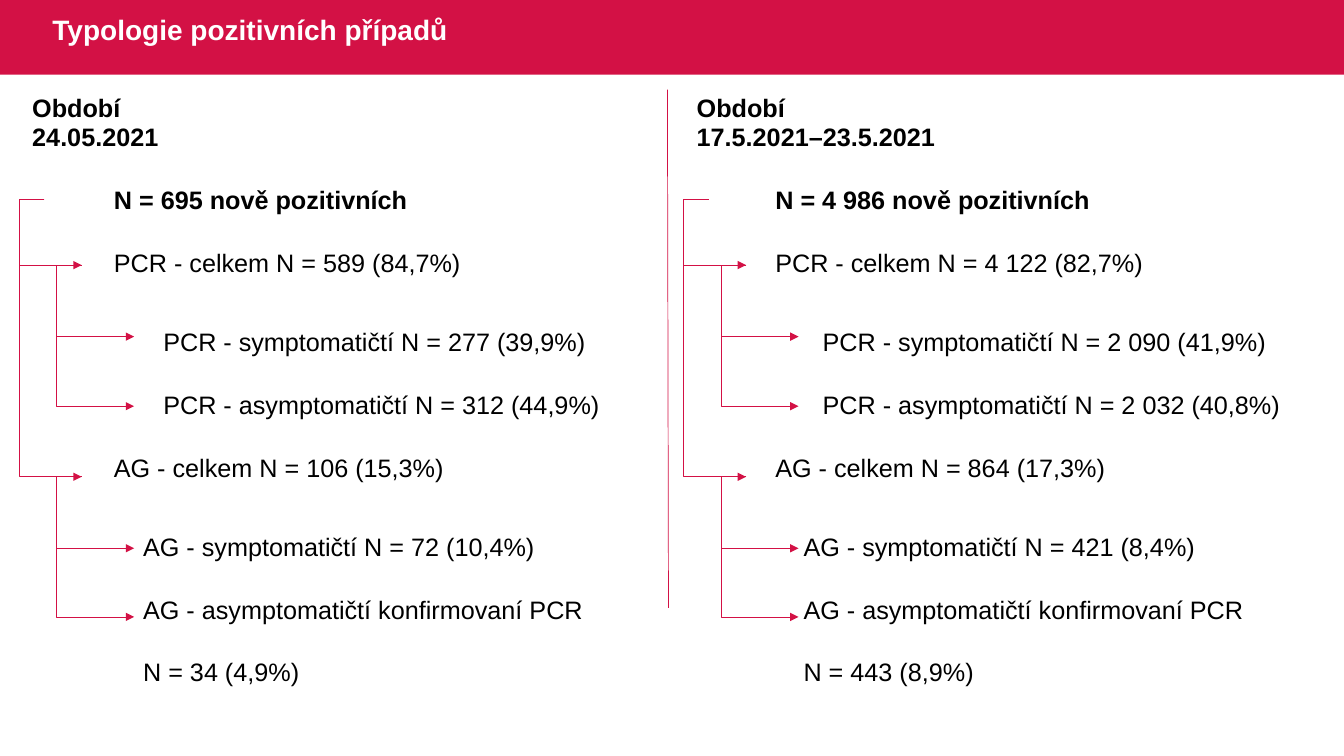
from dataclasses import dataclass

from lxml.etree import SubElement
from pptx import Presentation
from pptx.dml.color import RGBColor as Color
from pptx.enum.shapes import MSO_CONNECTOR as Link, MSO_SHAPE as Shape
from pptx.enum.text import MSO_ANCHOR as Anchor, PP_ALIGN as Align
from pptx.oxml.ns import qn
from pptx.util import Inches, Pt


@dataclass(frozen=True)
class Theme:
    red: Color = Color(0xD3, 0x11, 0x45)
    white: Color = Color(255, 255, 255)
    black: Color = Color(0, 0, 0)
    font: str = "Arial"
    head: Pt = Pt(20)
    body: Pt = Pt(18)
    line: Pt = Pt(0.5)
    grid: str = "{2D5ABB26-0587-4C30-8999-92F81FD0307C}"


THEME = Theme()

ROWS = [
    (0, Anchor.BOTTOM, True), (0, Anchor.TOP, True), (1, Anchor.TOP, True),
    (1, Anchor.TOP, False), (3, Anchor.MIDDLE, False), (3, Anchor.MIDDLE, False),
    (1, Anchor.MIDDLE, False), (2, Anchor.BOTTOM, False),
    (2, Anchor.BOTTOM, False), (2, Anchor.BOTTOM, False),
]

DAY = [
    "Období", "24.05.2021", "N = 695 nově pozitivních",
    "PCR - celkem N = 589 (84,7%)", "PCR - symptomatičtí N = 277 (39,9%)",
    "PCR - asymptomatičtí N = 312 (44,9%)", "AG - celkem N = 106 (15,3%)",
    "AG - symptomatičtí N = 72 (10,4%)",
    "AG - asymptomatičtí konfirmovaní PCR", "N = 34 (4,9%)",
]

WEEK = [
    "Období", "17.5.2021–23.5.2021", "N = 4 986 nově pozitivních",
    "PCR - celkem N = 4 122 (82,7%)", "PCR - symptomatičtí N = 2 090 (41,9%)",
    "PCR - asymptomatičtí N = 2 032 (40,8%)", "AG - celkem N = 864 (17,3%)",
    "AG - symptomatičtí N = 421 (8,4%)",
    "AG - asymptomatičtí konfirmovaní PCR", "N = 443 (8,9%)",
]

ROOT, PCR, AG = (0.25, 1.98), (0.62, 2.63), (0.62, 4.73)
LINKS = [
    (ROOT, AG), (PCR, (1.14, 3.34)), (PCR, (1.14, 4.03)),
    (AG, (1.14, 5.44)), (AG, (1.14, 6.12)), (ROOT, PCR),
]
BEND = 0.25


def style(text, size, color, bold):
    for run in text.paragraphs[0].runs:
        font = run.font
        font.name, font.size, font.bold = THEME.font, size, bold
        font.color.rgb = color


def add_head(slide, text):
    band = slide.shapes.add_shape(Shape.RECTANGLE, 0, 0, Inches(13.33), Inches(0.74))
    band.shadow.inherit = False
    band.fill.solid()
    band.fill.fore_color.rgb = THEME.red
    band.line.fill.background()
    title = slide.shapes.title
    band._element.addnext(title._element)
    title.left, title.top = Inches(0.42), Inches(0)
    title.width, title.height = Inches(6.97), Inches(0.63)
    frame = title.text_frame
    frame.text = text
    frame.vertical_anchor = Anchor.MIDDLE
    frame.paragraphs[0].alignment = Align.LEFT
    frame.paragraphs[0].line_spacing = 0.9
    style(frame, THEME.head, THEME.white, True)


def add_line(shapes, kind, start, end):
    line = shapes.add_connector(kind, *map(Inches, start + end))
    line.line.color.rgb = THEME.red
    line.line.width = THEME.line
    SubElement(line._element.spPr, qn("a:effectLst"))
    return line


def add_link(shapes, start, end):
    link = add_line(shapes, Link.ELBOW, start, end)
    bend = round(-100000 * BEND / (end[0] - start[0]))
    guides = link._element.spPr.find(".//" + qn("a:avLst"))
    SubElement(guides, qn("a:gd"), name="adj1", fmla=f"val {bend}")
    SubElement(link.line._get_or_add_ln(), qn("a:tailEnd"), type="triangle")


def add_tree(slide, left):
    group = slide.shapes.add_group_shape()
    for start, end in LINKS:
        add_link(group.shapes, (left + start[0], start[1]), (left + end[0], end[1]))


def add_list(slide, left, widths, texts):
    frame = slide.shapes.add_table(
        len(ROWS), len(widths), Inches(left), Inches(0.6),
        Inches(sum(widths)), Inches(6.22))
    table = frame.table
    table.first_row = table.horz_banding = False
    table._tbl.tblPr.find(qn("a:tableStyleId")).text = THEME.grid
    for column, width in zip(table.columns, widths):
        column.width = Inches(width)
    for cell in table.iter_cells():
        cell.fill.background()
    for row, ((col, anchor, bold), text) in enumerate(zip(ROWS, texts)):
        cell = table.cell(row, col)
        if col < 3:
            cell.merge(table.cell(row, 3))
        else:
            table.cell(row, 1).merge(table.cell(row, 2))
        cell.margin_left = cell.margin_right = cell.margin_top = Inches(0.01)
        cell.margin_bottom = 0
        cell.vertical_anchor = anchor
        cell.text_frame.text = text
        style(cell.text_frame, THEME.body, THEME.black, bold)


def main():
    deck = Presentation()
    deck.slide_width, deck.slide_height = Inches(13.33), Inches(7.5)
    slide = deck.slides.add_slide(deck.slide_layouts[5])
    add_head(slide, "Typologie pozitivních případů")
    add_line(slide.shapes, Link.STRAIGHT, (6.62, 0.89), (6.63, 6.03))
    add_list(slide, 0.31, (0.81, 0.29, 0.2, 5.31), DAY)
    add_tree(slide, 0.19)
    add_list(slide, 6.9, (0.78, 0.28, 0.19, 5.1), WEEK)
    add_tree(slide, 6.78)
    deck.save("out.pptx")


if __name__ == "__main__":
    main()
